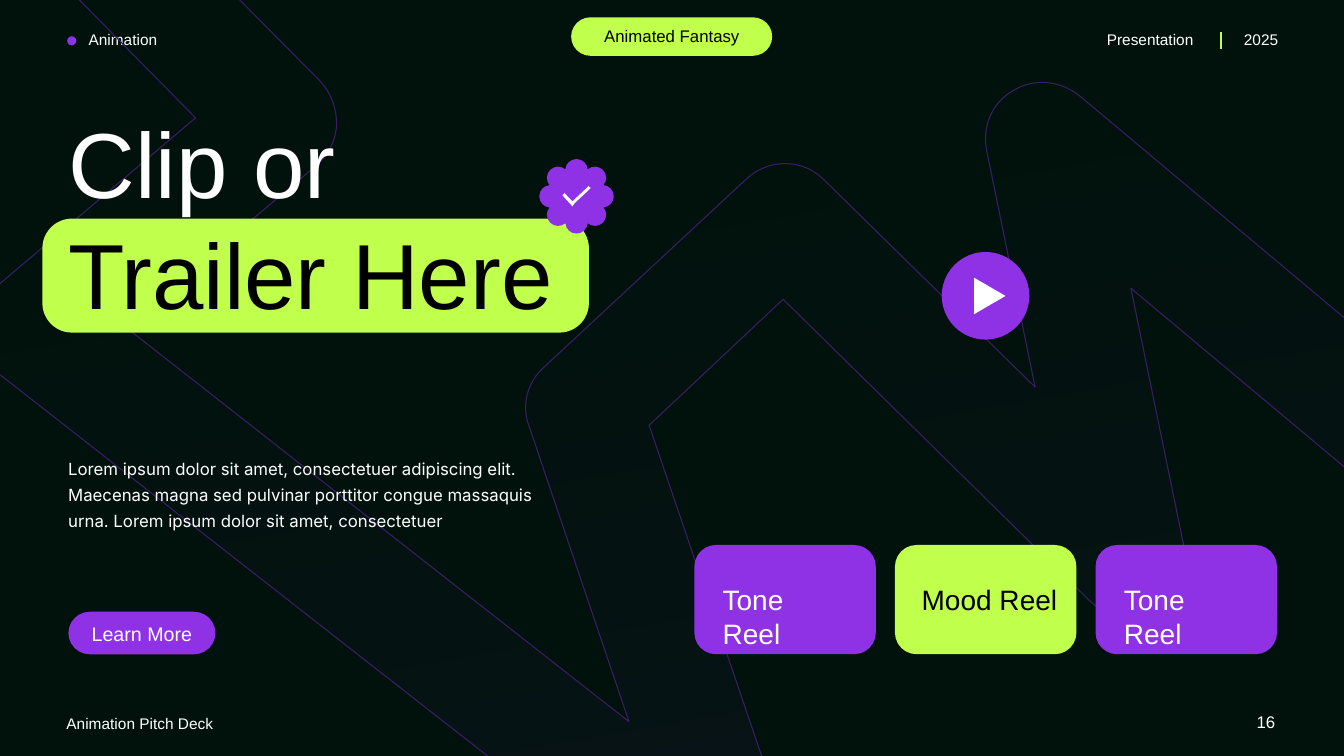
from collections import namedtuple
from math import cos, radians, sin, tan

from lxml import etree
from pptx import Presentation
from pptx.dml.color import RGBColor
from pptx.enum.shapes import MSO_CONNECTOR, MSO_SHAPE as Shape
from pptx.enum.text import MSO_ANCHOR, MSO_AUTO_SIZE, PP_ALIGN as Align
from pptx.oxml.ns import qn
from pptx.util import Pt

Box = namedtuple("Box", "left top width height")

DARK, PURPLE, LIME = "01120C", "8F32E6", "C1FF4D"
WHITE, BLACK, OUTLINE = "FFFFFF", "000000", "3A1D66"

# Corners have one point, curves have two controls and an end point
RIBBON = [
    [(160.6, -10.8)], [(46.1, -10.8)], [(139.7, 84.2)], [(-1.4, 203.8)],
    [(-10.8, 211.7), (-16.6, 223.9), (-15.8, 236.2)],
    [(-15.8, 248.4), (-10.1, 259.9), (-0.7, 267.1)],
    [(507.6, 664.6)],
    [(514.8, 670.3), (523.4, 673.2), (532.1, 673.2)],
    [(540.7, 673.2), (549.4, 670.3), (555.8, 665.3)],
    [(571, 655.2), (576.7, 636.5), (571, 619.2)],
    [(463.7, 303.8)], [(559.4, 213.8)], [(777.6, 428.4)],
    [(790.6, 441.4), (810, 444.2), (825.8, 435.6)],
    [(841.7, 427), (849.6, 409), (846, 391.7)],
    [(807.8, 205.9)], [(976.3, 347)], [(976.3, 240.5)], [(771.1, 68.4)],
    [(757.4, 57.6), (738.7, 55.4), (723.6, 64.8)],
    [(708.5, 73.4), (701.3, 90.7), (704.9, 108)],
    [(739.4, 276.5)], [(589, 128.9)],
    [(573.8, 113), (548.6, 113), (532.8, 128.2)],
    [(388.8, 262.1)],
    [(376.6, 272.9), (372.2, 289.4), (378, 304.6)],
    [(449.3, 515.5)], [(89.3, 233.3)], [(226.1, 118.1)],
    [(234.7, 110.9), (239.8, 100.1), (240.5, 89.3)],
    [(240.5, 77.8), (236.9, 67), (229, 58.3)],
]
CHECK = [[(8.6, -7.2)], [(-2.9, 3.6)], [(-8.6, -2.2)], [(-10.1, -0.7)],
         [(-2.9, 7.2)], [(-1.4, 5)], [(10.1, -5.8)]]


def color(value):
    return RGBColor.from_string(value)


def place(box, left, top, width, height):
    """Lengths for a part set at an offset inside a box."""
    return [Pt(n) for n in (box.left + left, box.top + top, width, height)]


def paint(shape, fill):
    shape.shadow.inherit = False
    shape.fill.solid()
    shape.fill.fore_color.rgb = color(fill)
    shape.line.fill.background()


def add_block(page, kind, lengths, fill, rounding=None):
    shape = page.shapes.add_shape(kind, *lengths)
    paint(shape, fill)
    if rounding is not None:
        shape.adjustments[0] = rounding
    return shape


def add_span(para, text, size, fill, font="Arial"):
    span = para.add_run()
    span.text = text
    span.font.size, span.font.name = Pt(size), font
    span.font.color.rgb = color(fill)


def add_label(page, lengths, text, size, fill=WHITE, align=Align.LEFT, font="Arial"):
    frame = page.shapes.add_textbox(*lengths).text_frame
    frame.word_wrap = True
    frame.auto_size = MSO_AUTO_SIZE.SHAPE_TO_FIT_TEXT
    para = frame.paragraphs[0]
    para.alignment = align
    add_span(para, text, size, fill, font)
    return para


def add_outline(page, box, segments):
    """Closed freeform, drawn in hundredths of a point."""
    dots = [((box.left + x) * 100, (box.top + y) * 100)
            for segment in segments for x, y in segment]
    builder = page.shapes.build_freeform(*dots[0], scale=127)
    builder.add_line_segments(dots[1:], close=True)
    shape = builder.convert_to_shape()
    shape.shadow.inherit = False
    # Join the three points of each curve into one cubic segment
    lines = iter(list(shape.element.iter(qn("a:lnTo"))))
    for segment in segments[1:]:
        first, *others = [next(lines) for _ in segment]
        if others:
            first.tag = qn("a:cubicBezTo")
            for line in others:
                first.append(line[0])
                line.getparent().remove(line)
    return shape


def draw_ribbon(page, box):
    # Faint gradient band
    band = add_outline(page, box, RIBBON)
    band.line.fill.background()
    band.fill.gradient()
    band.fill.gradient_angle = 280
    for stop, fill in zip(band.fill.gradient_stops, (DARK, PURPLE)):
        stop.color.rgb = color(fill)
    for node, alpha in zip(band.element.spPr.iter(qn("a:srgbClr")), (0, 9000)):
        etree.SubElement(node, qn("a:alpha")).set("val", str(alpha))
    # Thin edge
    edge = add_outline(page, box, RIBBON)
    edge.fill.background()
    edge.line.color.rgb = color(OUTLINE)
    edge.line.width = Pt(0.75)


def draw_header(page, box):
    add_block(page, Shape.OVAL, place(box, 48, 25.9, 6.5, 6.5), PURPLE)
    add_label(page, place(box, 56.2, 18, 92, 21), "Animation", 11)
    add_label(page, place(box, 783.5, 18, 83.5, 21), "Presentation", 11)
    add_label(page, place(box, 875.5, 18, 44.6, 21), "2025", 11, align=Align.RIGHT)
    # Divider
    x = Pt(box.left + 872.2)
    divider = page.shapes.add_connector(
        MSO_CONNECTOR.STRAIGHT, x, Pt(box.top + 23), x, Pt(box.top + 34.8))
    divider.line.color.rgb = color(LIME)
    divider.line.width = Pt(1)
    etree.SubElement(divider.element.spPr, qn("a:effectLst"))
    # Centre pill
    add_block(page, Shape.ROUNDED_RECTANGLE, place(box, 408, 12.4, 143.6, 27.5), LIME, 0.5)
    add_label(page, place(box, 422, 14.8, 116, 21.6), "Animated Fantasy", 12,
              BLACK, Align.CENTER)


def draw_title(page, box):
    add_block(page, Shape.ROUNDED_RECTANGLE, place(box, 0, 83.5, 390.4, 81.4), LIME, 0.259)
    title = page.shapes.title
    title.left, title.top, title.width, title.height = place(box, 11.4, -0.4, 379.4, 167)
    title.element.getparent().append(title.element)
    frame = title.text_frame
    frame.word_wrap = True
    frame.auto_size = MSO_AUTO_SIZE.SHAPE_TO_FIT_TEXT
    frame.vertical_anchor = MSO_ANCHOR.TOP
    para = frame.paragraphs[0]
    para.alignment = Align.LEFT
    add_span(para, "Clip or ", 66, WHITE)
    add_span(para, "Trailer Here", 66, BLACK)


def petal_arc(reach, radius, turn, start, end):
    """Cubic segment along one petal, between two angles from its tip."""
    pull = 4 / 3 * tan(radians(end - start) / 4)
    center_x, center_y = reach * cos(radians(turn)), reach * sin(radians(turn))
    a, b = radians(turn + start), radians(turn + end)
    return [(center_x + radius * (cos(angle) - bend * sin(angle)),
             center_y + radius * (sin(angle) + bend * cos(angle)))
            for angle, bend in ((a, pull), (b, -pull), (b, 0))]


def draw_badge(page, box):
    center = Box(box.left + box.width / 2, box.top + box.height / 2, 0, 0)
    radius = 8
    reach = box.width / 2 - radius
    flower = [[(box.width / 2, 0)]]
    for turn in range(0, 360, 45):
        flower.append(petal_arc(reach, radius, turn, 0, 85))
        flower.append(petal_arc(reach, radius, turn + 45, -85, 0))
    paint(add_outline(page, center, flower), PURPLE)
    paint(add_outline(page, center, CHECK), WHITE)


def draw_play_button(page, box):
    add_block(page, Shape.OVAL, place(box, 0, 0, box.width, box.height), PURPLE)
    arrow = add_block(page, Shape.ISOSCELES_TRIANGLE, place(box, 21.3, 20.2, 26, 22.4), WHITE)
    arrow.rotation = 90


def draw_story(page, box):
    para = add_label(
        page, place(box, 0, 0, box.width, 62),
        "Lorem ipsum dolor sit amet, consectetuer adipiscing elit. Maecenas magna sed "
        "pulvinar porttitor congue massaquis urna. Lorem ipsum dolor sit amet, "
        "consectetuer", 12, font="Inter")
    para.line_spacing = 1.3
    # Button
    add_block(page, Shape.ROUNDED_RECTANGLE, place(box, 7.3, 117.3, 105, 30.4), PURPLE, 0.5)
    add_label(page, place(box, 16.6, 121, 86.4, 24.3), "Learn More", 14, align=Align.CENTER)


def draw_reels(page, box):
    tone = ("Tone Reel", PURPLE, WHITE, 13.1, 103, Align.LEFT)
    mood = ("Mood Reel", LIME, BLACK, 9.5, 116, Align.CENTER)
    width = 129.6
    step = (box.width - width) / 2
    reels = (tone, mood, tone)
    for index, (_, fill, *_) in enumerate(reels):
        add_block(page, Shape.ROUNDED_RECTANGLE,
                  place(box, index * step, 0, width, box.height), fill, 0.197)
    for index, (text, _, ink, inset, text_width, align) in enumerate(reels):
        add_label(page, place(box, index * step + inset, 23.3, text_width, 31.5),
                  text, 20, ink, align)


def draw_footer(page, box):
    add_label(page, place(box, 40.4, 1.7, 190.8, 21), "Animation Pitch Deck", 11)
    add_label(page, place(box, 869, 0, 49, 21.6), "16", 12, align=Align.RIGHT)


def main():
    deck = Presentation()
    deck.slide_width, deck.slide_height = Pt(960), Pt(540)
    page = deck.slides.add_slide(deck.slide_layouts[5])
    page.background.fill.solid()
    page.background.fill.fore_color.rgb = color(DARK)
    draw_header(page, Box(0, 0, 960, 40))
    draw_footer(page, Box(0, 504.7, 960, 30))
    draw_ribbon(page, Box(0, 0, 960, 540))
    draw_title(page, Box(30.3, 72.7, 391, 167))
    draw_badge(page, Box(385.2, 113.6, 53.2, 53.2))
    draw_play_button(page, Box(672.7, 180, 62.6, 62.6))
    draw_story(page, Box(41.6, 319.7, 360, 150))
    draw_reels(page, Box(496, 389.3, 416.2, 78))
    deck.save("out.pptx")


if __name__ == "__main__":
    main()
